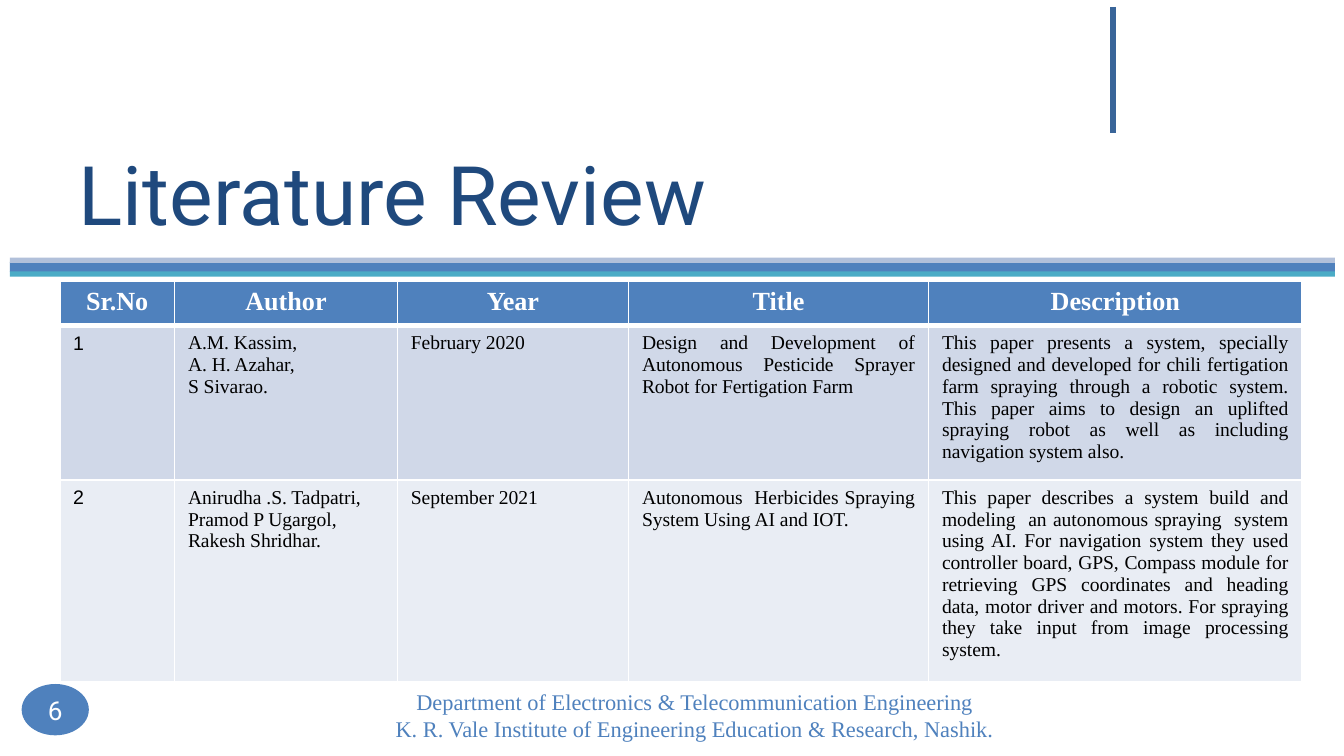
from pptx import Presentation
from pptx.dml.color import RGBColor
from pptx.enum.shapes import MSO_CONNECTOR as Connector, MSO_SHAPE as Shape
from pptx.enum.text import MSO_ANCHOR as Anchor, PP_ALIGN as Align
from pptx.oxml.ns import qn
from pptx.util import Cm, Pt
from lxml.etree import SubElement

BLUE, NAVY, WHITE, BLACK = "4F81BD", "1F497D", "FFFFFF", "000000"
SERIF, SANS = "Times New Roman", "Roboto"

HEADINGS = ["Sr.No", "Author", "Year", "Title", "Description"]
PAPERS = [
    ["1", "A.M. Kassim,\nA. H. Azahar,\nS Sivarao.", "February 2020",
     "Design and Development of Autonomous Pesticide Sprayer Robot for "
     "Fertigation Farm",
     "This paper presents a system, specially designed and developed for chili "
     "fertigation farm spraying through a robotic system. This paper aims to "
     "design an uplifted spraying robot as well as including navigation system "
     "also."],
    ["2", "Anirudha .S. Tadpatri,\nPramod P Ugargol,\nRakesh Shridhar.",
     "September 2021",
     "Autonomous  Herbicides Spraying System Using AI and IOT.",
     "This paper describes a system build and modeling  an autonomous spraying  "
     "system using AI. For navigation system they used controller board, GPS, "
     "Compass module for retrieving GPS coordinates and heading data, motor "
     "driver and motors. For spraying they take input from image processing "
     "system."],
]
COLUMN_WIDTHS = [2.17, 4.21, 4.37, 5.67, 7.06]
COLUMN_ALIGNS = [Align.LEFT] * 3 + [Align.JUSTIFY] * 2
ROW_HEIGHTS = [0.84, 2.92, 3.73]
ROW_FILLS = [BLUE, "D0D8E8", "E9EDF4"]


def rgb(value):
    return RGBColor.from_string(value)


def write(frame, text, size, font, color, align=Align.LEFT, bold=False):
    """Fill a text frame with one paragraph per line of text."""
    frame.word_wrap = True
    frame.text = text
    for paragraph in frame.paragraphs:
        paragraph.alignment = align
        paragraph.font.size = Pt(size)
        paragraph.font.name = font
        paragraph.font.bold = bold
        paragraph.font.color.rgb = rgb(color)


def add_filled(slide, kind, left, top, width, height, color):
    filled = slide.shapes.add_shape(kind, Cm(left), Cm(top), Cm(width), Cm(height))
    filled.shadow.inherit = False
    filled.fill.solid()
    filled.fill.fore_color.rgb = rgb(color)
    filled.line.fill.background()
    return filled


def add_text(slide, left, top, width, height, anchor, *style):
    box = slide.shapes.add_textbox(Cm(left), Cm(top), Cm(width), Cm(height))
    box.text_frame.vertical_anchor = anchor
    write(box.text_frame, *style)
    return box


def add_line(slide, x1, y1, x2, y2, color, width):
    line = slide.shapes.add_connector(
        Connector.STRAIGHT, Cm(x1), Cm(y1), Cm(x2), Cm(y2))
    line.line.color.rgb = rgb(color)
    line.line.width = Pt(width)
    SubElement(line._element.spPr, qn("a:effectLst"))


def set_borders(cell, top, bottom):
    """Draw white borders; they must come before the fill in the cell's XML."""
    properties = cell._tc.get_or_add_tcPr()
    widths = {"lnL": 1, "lnR": 1, "lnT": top, "lnB": bottom}
    for side, width in widths.items():
        border = SubElement(properties, qn(f"a:{side}"), w=str(Pt(width)))
        fill = SubElement(border, qn("a:solidFill"))
        SubElement(fill, qn("a:srgbClr"), val=WHITE)


def add_papers_table(slide, left, top):
    rows = [HEADINGS] + PAPERS
    table = slide.shapes.add_table(
        len(rows), len(HEADINGS), Cm(left), Cm(top),
        Cm(sum(COLUMN_WIDTHS)), Cm(sum(ROW_HEIGHTS))).table
    for column, width in zip(table.columns, COLUMN_WIDTHS):
        column.width = Cm(width)
    for r, texts in enumerate(rows):
        table.rows[r].height = Cm(ROW_HEIGHTS[r])
        for c, text in enumerate(texts):
            cell = table.cell(r, c)
            set_borders(cell, 3 if r == 1 else 1, 3 if r == 0 else 1)
            cell.fill.solid()
            cell.fill.fore_color.rgb = rgb(ROW_FILLS[r])
            if r == 0:
                write(cell.text_frame, text, 14, SERIF, WHITE, Align.CENTER, True)
            else:
                font = "Arial" if c == 0 else SERIF
                write(cell.text_frame, text, 10.5, font, BLACK, COLUMN_ALIGNS[c])


def main():
    prs = Presentation()
    prs.slide_width, prs.slide_height = Cm(25.4), Cm(14.29)
    slide = prs.slides.add_slide(prs.slide_layouts[6])

    # Striped band under the title
    for top, height, color in [(4.95, 0.19, BLUE), (4.87, 0.1, "B1C0DA"),
                               (5.13, 0.1, "4BACC6")]:
        add_filled(slide, Shape.RECTANGLE, 0.19, top, 25.04, height, color)

    # Title
    title = add_text(slide, 1.24, 1.3, 18.14, 3.53, Anchor.BOTTOM,
                     "Literature Review", 44, SANS, NAVY)
    title.text_frame.margin_bottom = Cm(0.25)

    # Footer
    add_text(slide, 1.68, 13.13, 22.91, 0.76, Anchor.MIDDLE,
             "Department of Electronics & Telecommunication Engineering\n"
             "K. R. Vale Institute of Engineering Education & Research, Nashik.",
             12, SERIF, BLUE, Align.CENTER)

    # Page number
    badge = add_filled(slide, Shape.OVAL, 0.41, 12.93, 1.27, 0.97, BLUE).text_frame
    badge.margin_left = badge.margin_right = 0
    badge.margin_top = badge.margin_bottom = 0
    badge.vertical_anchor = Anchor.MIDDLE
    write(badge, "6", 14, SANS, WHITE, Align.CENTER)

    # Accent line at the top right
    add_line(slide, 21.03, 0.13, 21.03, 2.51, "396599", 3)

    # Reviewed papers
    add_papers_table(slide, 1.13, 5.31)

    prs.save("out.pptx")


if __name__ == "__main__":
    main()
